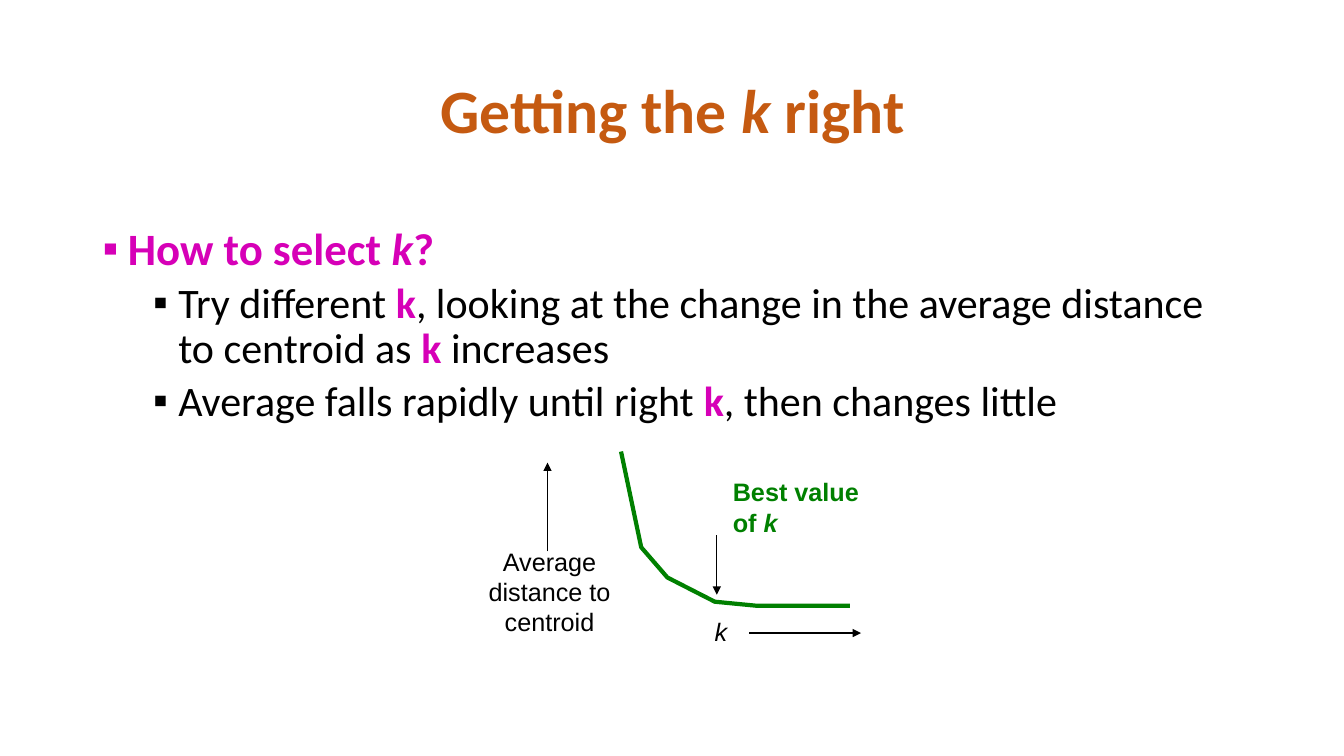
from lxml import etree
from pptx import Presentation
from pptx.dml.color import RGBColor
from pptx.enum.shapes import MSO_CONNECTOR
from pptx.enum.text import MSO_ANCHOR, MSO_AUTO_SIZE, PP_ALIGN
from pptx.oxml.ns import qn
from pptx.util import Inches, Pt

ORANGE = RGBColor(0xC5, 0x5A, 0x11)
MAGENTA = RGBColor(0xD6, 0x00, 0xB7)
GREEN = RGBColor(0x00, 0x80, 0x00)
BLACK = RGBColor(0x00, 0x00, 0x00)

# Content: a paragraph is a list of (text, run format)
ITALIC = {"italic": True}
KEY = {"bold": True, "color": MAGENTA}
TITLE = [[("Getting the ", {}), ("k ", ITALIC), ("right", {})]]
QUESTION = [[("How to select ", {}), ("k", ITALIC), ("?", {})]]
ANSWERS = [
    [("Try different ", {}), ("k", KEY),
     (", looking at the change in the average distance to centroid as ", {}),
     ("k", KEY), (" increases", {})],
    [("Average falls rapidly until right ", {}), ("k", KEY),
     (", then changes little", {})],
]
# Chart labels: box, paragraphs, format
LABELS = [
    ((6.99, 6.07, 0.33, 0.4), [[("k", ITALIC)]], {}),
    ((4.74, 5.37, 1.42, 1.01),
     [[(t, {})] for t in ("Average", "distance to", "centroid")],
     {"align": PP_ALIGN.CENTER}),
    ((7.17, 4.68, 1.46, 0.71),
     [[("Best value", {})], [("of ", {}), ("k", ITALIC)]],
     {"bold": True, "color": GREEN}),
]
ARROWS = [(5.43, 5.47, 5.43, 4.59), (7.43, 6.28, 8.54, 6.28), (7.11, 5.31, 7.11, 5.9)]
CURVE = [(6.16, 4.48), (6.36, 5.43), (6.62, 5.73), (7.09, 5.97), (7.5, 6.01), (8.43, 6.01)]


def add_text(tf, paragraphs, size=18, font="Arial", color=BLACK, bold=False,
             align=PP_ALIGN.LEFT, spacing=None, before=0, bullet_level=None):
    """Append paragraphs to tf, filling its empty first paragraph first."""
    for runs in paragraphs:
        first = not tf.paragraphs[0].runs
        p = tf.paragraphs[0] if first else tf.add_paragraph()
        p.alignment = align
        if spacing:
            p.line_spacing = spacing
        p.space_before = Pt(0 if first else before)
        if bullet_level is not None:
            p.level = bullet_level
            pPr = p._p.get_or_add_pPr()
            pPr.set("marL", str(Inches(0.25 + 0.5 * bullet_level)))
            pPr.set("indent", str(Inches(-0.25)))
            etree.SubElement(pPr, qn("a:buFont")).set("typeface", "Arial")
            etree.SubElement(pPr, qn("a:buChar")).set("char", "▪")
        for text, fmt in runs:
            r = p.add_run()
            r.text = text
            r.font.name = font
            r.font.size = Pt(size)
            r.font.bold = fmt.get("bold", bold)
            r.font.italic = fmt.get("italic", False)
            r.font.color.rgb = fmt.get("color", color)


prs = Presentation()
prs.slide_width, prs.slide_height = Inches(13.33), Inches(7.5)
s = prs.slides.add_slide(prs.slide_layouts[5])

# Title
title = s.shapes.title
title.left, title.top, title.width, title.height = map(Inches, (0.92, 0.4, 11.5, 1.45))
tf = title.text_frame
tf.auto_size = MSO_AUTO_SIZE.NONE
tf.vertical_anchor = MSO_ANCHOR.MIDDLE
add_text(tf, TITLE, size=44, font="Calibri", color=ORANGE, bold=True,
         align=PP_ALIGN.CENTER, spacing=0.9)

# Bulleted text
tf = s.shapes.add_textbox(*map(Inches, (0.92, 2.2, 11.5, 2.28))).text_frame
tf.word_wrap = True
add_text(tf, QUESTION, size=32, font="Calibri", color=MAGENTA, bold=True,
         spacing=0.9, bullet_level=0)
add_text(tf, ANSWERS, size=30, font="Calibri", spacing=0.9, before=5, bullet_level=1)

# Chart labels
for box, paragraphs, fmt in LABELS:
    tf = s.shapes.add_textbox(*map(Inches, box)).text_frame
    tf.word_wrap = False
    tf.auto_size = MSO_AUTO_SIZE.SHAPE_TO_FIT_TEXT
    add_text(tf, paragraphs, **fmt)

# Arrows
for ends in ARROWS:
    arrow = s.shapes.add_connector(MSO_CONNECTOR.STRAIGHT, *map(Inches, ends))
    arrow.line.color.rgb = BLACK
    arrow.line.width = Pt(0.75)
    etree.SubElement(arrow.line._get_or_add_ln(), qn("a:tailEnd")).set("type", "triangle")
    etree.SubElement(arrow._element.spPr, qn("a:effectLst"))

# Elbow curve
points = [(Inches(x), Inches(y)) for x, y in CURVE]
builder = s.shapes.build_freeform(*points[0])
builder.add_line_segments(points[1:], close=False)
curve = builder.convert_to_shape()
curve.shadow.inherit = False
curve.fill.background()
curve.line.color.rgb = GREEN
curve.line.width = Pt(3)

prs.save("out.pptx")
